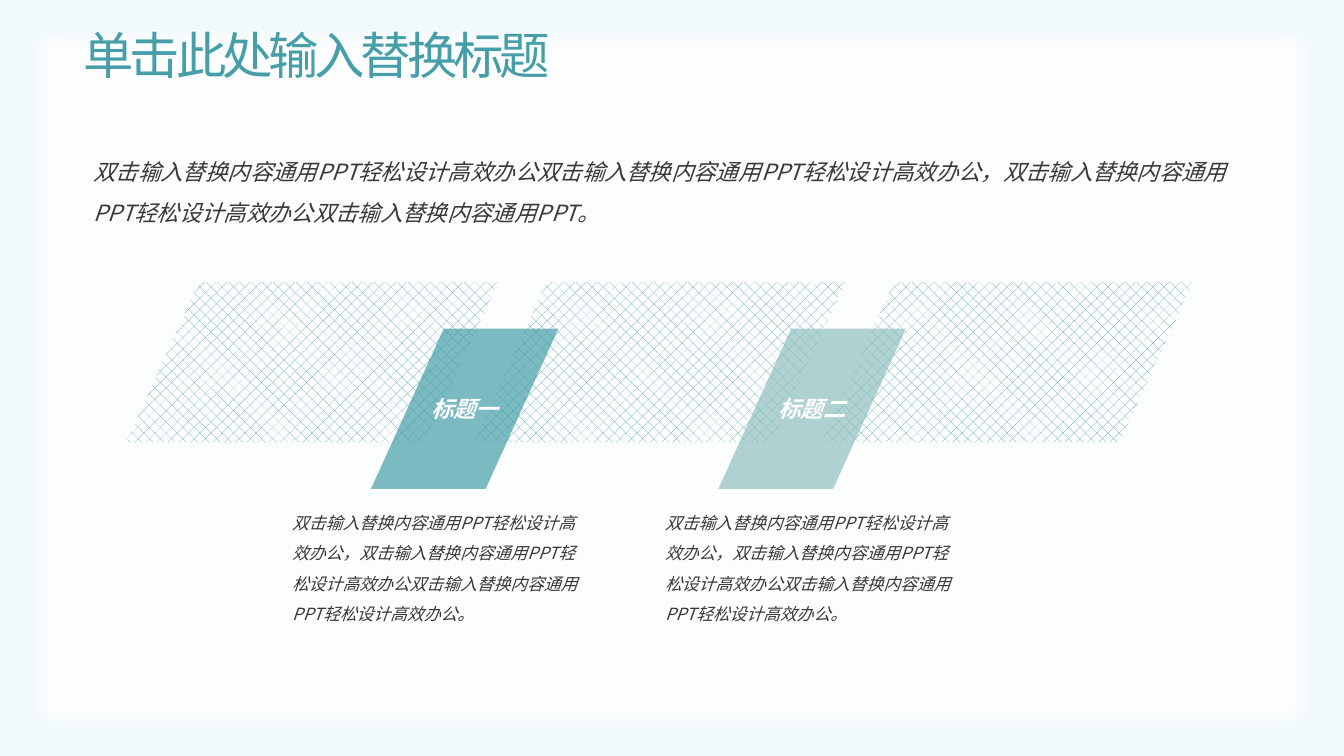
"""Build a slide with hatched bands, slanted title tabs and short descriptions."""
from dataclasses import dataclass

from lxml import etree
from pptx import Presentation, util as u
from pptx.dml.color import RGBColor
from pptx.enum import dml, shapes, text
from pptx.oxml import ns

WIDTH, HEIGHT = u.Inches(13.33), u.Inches(7.5)
COLORS = {
    "back": "F1F9FB",
    "white": "FFFFFF",
    "teal": "459EA8",
    "sage": "8FBFBE",
    "ink": "3A3838",
}
SANS_JP, SANS_SC = "Noto Sans CJK JP", "Noto Sans CJK SC"
PITCH = 25.85
BAND_HEIGHT = 21.2
SLANT = 5.44
SOFT_EDGE = u.Inches(0.2)
PHRASE = "双击输入替换内容通用PPT轻松设计高效办公"
DETAIL = f"{PHRASE}，{PHRASE}{PHRASE}。"
LEAD = f"{PHRASE}{PHRASE}，{PHRASE}双击输入替换内容通用PPT。"


@dataclass(frozen=True)
class Area:
    """Position and size as percentages of the slide's width and height."""

    left: float
    top: float
    width: float
    height: float

    def lengths(self) -> tuple[int, int, int, int]:
        """Return left, top, width and height in slide units."""
        return (across(self.left), down(self.top), across(self.width), down(self.height))


@dataclass(frozen=True)
class Style:
    """Look of one paragraph."""

    size: float
    color: str
    font: str = SANS_SC
    bold: bool = False
    italic: bool = True
    align: text.PP_ALIGN = text.PP_ALIGN.LEFT
    leading: float = 1.0
    tracking: float = 0


@dataclass(frozen=True)
class Topic:
    """A slanted tab and the left edge of its description."""

    title: str
    color: str
    detail_left: float


@dataclass(frozen=True)
class TextBlock:
    """A text box with its place and look."""

    words: str
    area: Area
    style: Style
    anchor: text.MSO_ANCHOR = text.MSO_ANCHOR.TOP


TITLE_STYLE = Style(36, "teal", SANS_JP, italic=False, leading=0.9, tracking=-3)
LEAD_STYLE = Style(16, "ink", align=text.PP_ALIGN.JUSTIFY, leading=1.5)
DETAIL_STYLE = Style(12, "ink", leading=1.5)
TAB_STYLE = Style(16, "white", bold=True, align=text.PP_ALIGN.CENTER)
TOPICS = [Topic("标题一", "teal", 21), Topic("标题二", "sage", 48.75)]
BLOCKS = [
    TextBlock("单击此处输入替换标题", Area(5.48, 3.33, 86.25, 8.67), TITLE_STYLE,
              text.MSO_ANCHOR.MIDDLE),
    TextBlock(LEAD, Area(6.22, 18.53, 85.8, 12.13), LEAD_STYLE),
    *(TextBlock(DETAIL, Area(topic.detail_left, 65.87, 23.33, 20.67), DETAIL_STYLE)
      for topic in TOPICS),
]


def across(share: float) -> int:
    """Convert a percentage of the width to a length."""
    return round(WIDTH * share / 100)


def down(share: float) -> int:
    """Convert a percentage of the height to a length."""
    return round(HEIGHT * share / 100)


def rgb(name: str) -> RGBColor:
    """Look up a named colour."""
    return RGBColor.from_string(COLORS[name])


def write(frame, words: str, style: Style, anchor: text.MSO_ANCHOR) -> None:
    """Write one styled paragraph into a text frame."""
    frame.word_wrap = True
    frame.vertical_anchor = anchor
    para = frame.paragraphs[0]
    para.text = words
    para.alignment = style.align
    para.line_spacing = style.leading
    font = para.font
    font.size = u.Pt(style.size)
    font.bold, font.italic = style.bold, style.italic
    font.color.rgb = rgb(style.color)
    font.name = style.font
    properties = para._p.pPr.find(ns.qn("a:defRPr"))
    etree.SubElement(properties, ns.qn("a:ea"), typeface=style.font)
    if style.tracking:
        properties.set("spc", str(round(style.tracking * 100)))


def add_filled(page, kind: shapes.MSO_SHAPE, area: Area, color: str, opacity: int):
    """Add a borderless shape with a translucent fill."""
    shape = page.shapes.add_shape(kind, *area.lengths())
    shape.shadow.inherit = False
    shape.line.fill.background()
    shape.fill.solid()
    shape.fill.fore_color.rgb = rgb(color)
    tint = shape._element.spPr.find(ns.qn("a:solidFill"))[0]
    etree.SubElement(tint, ns.qn("a:alpha"), val=str(opacity * 1000))
    return shape


def add_panel(page) -> None:
    """Add the soft-edged white panel."""
    panel = add_filled(page, shapes.MSO_SHAPE.RECTANGLE,
                       Area(0.83, 1.47, 98.34, 97.2), "white", 85)
    effects = panel._element.spPr.find(ns.qn("a:effectLst"))
    etree.SubElement(effects, ns.qn("a:softEdge"), rad=str(SOFT_EDGE))


def add_band(page, column: int) -> None:
    """Add one hatched slanted band."""
    left, top, width, height = Area(
        9.38 + PITCH * column, 37.33, 27.68, BAND_HEIGHT).lengths()
    slant = across(SLANT)
    outline = page.shapes.build_freeform(left + slant, top)
    outline.add_line_segments([
        (left + width, top),
        (left + width - slant, top + height),
        (left, top + height),
    ])
    band = outline.convert_to_shape()
    band.shadow.inherit = False
    band.line.fill.background()
    band.fill.patterned()
    band.fill.pattern = dml.MSO_PATTERN.PERCENT_25
    band.fill.fore_color.rgb = rgb("teal")
    band.fill.back_color.rgb = rgb("white")


def add_tab(page, column: int, topic: Topic) -> None:
    """Add one slanted title tab."""
    area = Area(27.6 + PITCH * column, 43.47, 13.95, BAND_HEIGHT)
    tab = add_filled(page, shapes.MSO_SHAPE.PARALLELOGRAM, area, topic.color, 70)
    tab.adjustments[0] = 0.454
    write(tab.text_frame, topic.title, TAB_STYLE, text.MSO_ANCHOR.MIDDLE)


def add_block(page, block: TextBlock) -> None:
    """Add one text box."""
    box = page.shapes.add_textbox(*block.area.lengths())
    write(box.text_frame, block.words, block.style, block.anchor)


def main() -> None:
    """Build and save the deck."""
    deck = Presentation()
    deck.slide_width, deck.slide_height = WIDTH, HEIGHT
    page = deck.slides.add_slide(deck.slide_layouts[6])
    page.background.fill.solid()
    page.background.fill.fore_color.rgb = rgb("back")
    add_panel(page)
    for column in reversed(range(3)):
        add_band(page, column)
    for column, topic in enumerate(TOPICS):
        add_tab(page, column, topic)
    for block in BLOCKS:
        add_block(page, block)
    deck.save("out.pptx")


if __name__ == "__main__":
    main()
